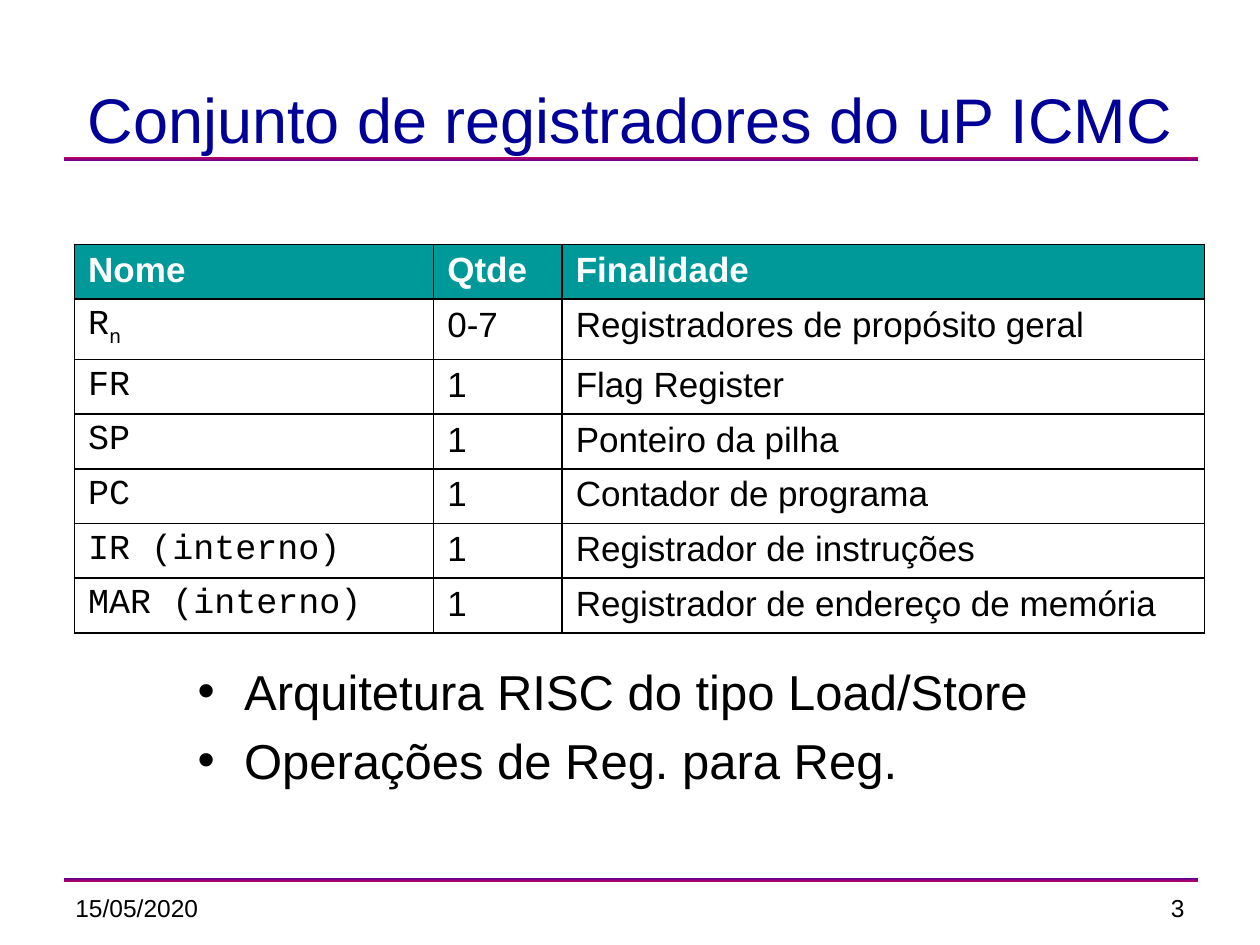
from dataclasses import dataclass
from typing import Any

from lxml import etree
from pptx import Presentation
from pptx import util as u
from pptx.dml.color import RGBColor
from pptx.enum import shapes, text
from pptx.oxml import ns

BLACK = RGBColor(0, 0, 0)
WHITE = RGBColor(0xFF, 0xFF, 0xFF)
NAVY = RGBColor(0, 0, 0x99)
TEAL = RGBColor(0, 0x99, 0x99)
PURPLE = RGBColor(0x66, 0, 0x8F)
PINK = RGBColor(0xBA, 0, 0x66)
SANS, MONO = "Arial", "Courier New"
LEFT, RIGHT = text.PP_ALIGN.LEFT, text.PP_ALIGN.RIGHT
CENTER = text.PP_ALIGN.CENTER
TOP, BOTTOM = text.MSO_ANCHOR.TOP, text.MSO_ANCHOR.BOTTOM


@dataclass
class Style:
    size: float
    color: RGBColor = BLACK
    face: str = SANS
    bold: bool = False


@dataclass
class Rule:
    top: float
    start: RGBColor
    end: RGBColor


@dataclass
class Label:
    words: str
    box: tuple[float, float, float, float]
    style: Style
    align: Any = LEFT
    anchor: Any = TOP


@dataclass
class Entry:
    name: str
    count: str
    use: str
    sub: str = ""


RULES = [Rule(1.25, PURPLE, PINK), Rule(6.97, PINK, PURPLE)]
LABELS = [
    Label("Conjunto de registradores do uP ICMC", (0.51, 0.5, 8.98, 0.79),
          Style(36, NAVY), CENTER, BOTTOM),
    Label("15/05/2020", (0.5, 7.04, 2.33, 0.52), Style(14)),
    Label("3", (7.17, 7.04, 2.33, 0.52), Style(14), RIGHT),
]
HEADS = ["Nome", "Qtde", "Finalidade"]
ENTRIES = [
    Entry("R", "0-7", "Registradores de propósito geral", sub="n"),
    Entry("FR", "1", "Flag Register"),
    Entry("SP", "1", "Ponteiro da pilha"),
    Entry("PC", "1", "Contador de programa"),
    Entry("IR (interno)", "1", "Registrador de instruções"),
    Entry("MAR (interno)", "1", "Registrador de endereço de memória"),
]
COLS = [2.85, 1.02, 5.1]
ROWS = [0.41, 0.47] + [0.42] * 5
POINTS = ["Arquitetura RISC do tipo Load/Store", "Operações de Reg. para Reg."]


def add_run(par: Any, words: str, style: Style) -> Any:
    run = par.add_run()
    run.text = words
    font = run.font
    font.size, font.name, font.bold = u.Pt(style.size), style.face, style.bold
    font.color.rgb = style.color
    return run


def add_box(slide: Any, box: tuple[float, float, float, float]) -> Any:
    frame = slide.shapes.add_textbox(*map(u.Inches, box)).text_frame
    frame.word_wrap = True
    return frame


def hang(par: Any) -> Any:
    """Set the hanging indent shared by cells and bullets."""
    props = par._p.get_or_add_pPr()
    props.set("marL", str(u.Inches(0.38)))
    props.set("indent", str(u.Inches(-0.37)))
    return props


def draw_rule(slide: Any, rule: Rule) -> None:
    bar = slide.shapes.add_shape(
        shapes.MSO_SHAPE.RECTANGLE, u.Inches(0.51), u.Inches(rule.top),
        u.Inches(9), u.Inches(0.03))
    bar.shadow.inherit = False
    bar.line.fill.background()
    bar.fill.gradient()
    bar.fill.gradient_angle = 90
    for stop, color in zip(bar.fill.gradient_stops, (rule.start, rule.end)):
        stop.color.rgb = color


def draw_label(slide: Any, label: Label) -> None:
    frame = add_box(slide, label.box)
    frame.vertical_anchor = label.anchor
    par = frame.paragraphs[0]
    par.alignment = label.align
    add_run(par, label.words, label.style)


def add_edges(cell: Any) -> None:
    props = cell._tc.get_or_add_tcPr()
    for side in ("lnL", "lnR", "lnT", "lnB"):
        line = etree.SubElement(props, ns.qn(f"a:{side}"), w=str(u.Pt(0.96)))
        fill = etree.SubElement(line, ns.qn("a:solidFill"))
        etree.SubElement(fill, ns.qn("a:srgbClr"), val=str(BLACK))


def fill_cell(cell: Any, words: str, style: Style, sub: str = "") -> None:
    par = cell.text_frame.paragraphs[0]
    hang(par)
    add_run(par, words, style)
    if sub:
        low = add_run(par, sub, style)
        low._r.get_or_add_rPr().set("baseline", "-25000")
    add_edges(cell)


def draw_table(slide: Any) -> None:
    table = slide.shapes.add_table(
        len(ROWS), len(COLS), u.Inches(0.59), u.Inches(1.94),
        u.Inches(sum(COLS)), u.Inches(sum(ROWS))).table
    table.horz_banding = False
    for col, width in zip(table.columns, COLS):
        col.width = u.Inches(width)
    for row, height in zip(table.rows, ROWS):
        row.height = u.Inches(height)

    # Header row
    for col, head in enumerate(HEADS):
        cell = table.cell(0, col)
        fill_cell(cell, head, Style(20, WHITE, bold=True))
        cell.fill.solid()
        cell.fill.fore_color.rgb = TEAL

    # One row for each register
    plain, code = Style(20), Style(20, face=MONO)
    for row, entry in enumerate(ENTRIES, 1):
        fill_cell(table.cell(row, 0), entry.name, code, entry.sub)
        fill_cell(table.cell(row, 1), entry.count, plain)
        fill_cell(table.cell(row, 2), entry.use, plain)
        for col in range(len(COLS)):
            table.cell(row, col).fill.background()


def draw_points(slide: Any) -> None:
    frame = add_box(slide, (1.46, 5.2, 7, 1.6))
    for num, words in enumerate(POINTS):
        par = frame.add_paragraph() if num else frame.paragraphs[0]
        props = hang(par)
        etree.SubElement(props, ns.qn("a:buFont"), typeface=SANS)
        etree.SubElement(props, ns.qn("a:buChar"), char="•")
        if num:
            par.space_before = u.Pt(5.6)
        add_run(par, words, Style(28))


def main() -> None:
    deck = Presentation()
    deck.slide_width, deck.slide_height = u.Inches(10), u.Inches(7.5)
    slide = deck.slides.add_slide(deck.slide_layouts[6])
    # Rules, title and footer
    for rule in RULES:
        draw_rule(slide, rule)
    for label in LABELS:
        draw_label(slide, label)
    # Registers and remarks
    draw_table(slide)
    draw_points(slide)
    deck.save("out.pptx")


if __name__ == "__main__":
    main()
